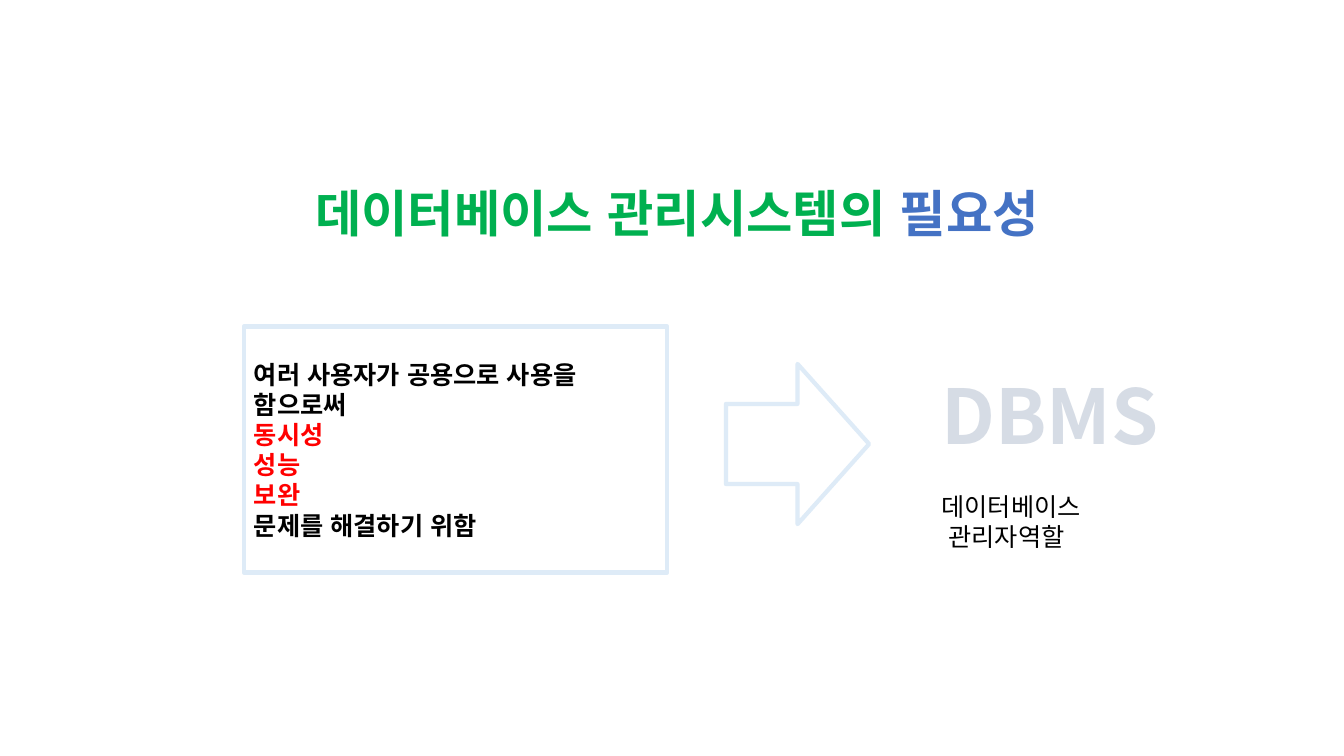
from dataclasses import dataclass

from lxml.etree import SubElement
from pptx import Presentation
from pptx.dml.color import RGBColor
from pptx.enum.lang import MSO_LANGUAGE_ID as Lang
from pptx.enum.shapes import MSO_SHAPE as Preset
from pptx.enum.text import MSO_ANCHOR as Anchor, MSO_AUTO_SIZE as AutoSize, PP_ALIGN as Align
from pptx.oxml.ns import qn
from pptx.util import Inches, Pt


@dataclass(frozen=True)
class Theme:
    font: str = "Noto Sans CJK KR"
    green: str = "00B050"
    blue: str = "4472C4"
    black: str = "000000"
    red: str = "FF0000"
    pale_blue: str = "DEEBF7"
    grey: str = "D6DCE5"
    title_size: int = 36
    body_size: int = 18
    name_size: int = 54
    line_width: int = 3


THEME = Theme()


def format_run(run, size, color, bold):
    font = run.font
    font.name = THEME.font
    font.size = Pt(size)
    font.bold = bold
    font.color.rgb = RGBColor.from_string(color)
    font.language_id = Lang.KOREAN
    SubElement(run._r.get_or_add_rPr(), qn("a:ea"), typeface=THEME.font)


def write(frame, paragraphs, size, bold=False, align=Align.LEFT, anchor=Anchor.TOP, wrap=True):
    frame.word_wrap = wrap
    frame.vertical_anchor = anchor
    for index, parts in enumerate(paragraphs):
        paragraph = frame.paragraphs[0] if index == 0 else frame.add_paragraph()
        paragraph.alignment = align
        for text, color in parts:
            run = paragraph.add_run()
            run.text = text
            format_run(run, size, color, bold)


def add_outline(slide, preset, box):
    outline = slide.shapes.add_shape(preset, *map(Inches, box))
    outline.shadow.inherit = False
    outline.fill.background()
    outline.line.color.rgb = RGBColor.from_string(THEME.pale_blue)
    outline.line.width = Pt(THEME.line_width)
    return outline


def add_label(slide, box, paragraphs, size, **style):
    frame = slide.shapes.add_textbox(*map(Inches, box)).text_frame
    write(frame, paragraphs, size, **style)
    frame.auto_size = AutoSize.SHAPE_TO_FIT_TEXT


def place_title(slide, box):
    heading = slide.shapes.title
    heading.left, heading.top, heading.width, heading.height = map(Inches, box)
    frame = heading.text_frame
    parts = [("데이터베이스 관리시스템의 ", THEME.green), ("필요성", THEME.blue)]
    write(frame, [parts], THEME.title_size, bold=True, align=Align.CENTER, wrap=False)
    frame.paragraphs[0].line_spacing = 1.0
    frame.auto_size = AutoSize.SHAPE_TO_FIT_TEXT


def add_reasons(slide, box):
    reasons = [
        [("여러 사용자가 공용으로 사용을 함으로써", THEME.black)],
        *[[(issue, THEME.red)] for issue in ("동시성", "성능", "보완")],
        [("문제를 해결하기 위함", THEME.black)],
    ]
    panel = add_outline(slide, Preset.RECTANGLE, box)
    write(panel.text_frame, reasons, THEME.body_size, bold=True, anchor=Anchor.MIDDLE)


def add_dbms(slide, box):
    left, top, width, height = box
    add_label(slide, (left, top, width, 1.01), [[("DBMS", THEME.grey)]],
              THEME.name_size, bold=True, align=Align.CENTER, wrap=False)
    role_height = 0.71
    role = [[(line, THEME.black)] for line in ("데이터베이스", " 관리자역할")]
    add_label(slide, (left + 0.03, top + height - role_height, width - 0.05, role_height),
              role, THEME.body_size)


def build():
    deck = Presentation()
    deck.slide_width, deck.slide_height = Inches(13.33), Inches(7.5)
    slide = deck.slides.add_slide(deck.slide_layouts[5])
    place_title(slide, (2.65, 1.76, 8.13, 0.71))
    add_reasons(slide, (2.42, 3.24, 4.2, 2.44))
    add_outline(slide, Preset.RIGHT_ARROW, (7.2, 3.61, 1.42, 1.59))
    add_dbms(slide, (9.21, 3.61, 2.41, 1.92))
    deck.save("out.pptx")


if __name__ == "__main__":
    build()
